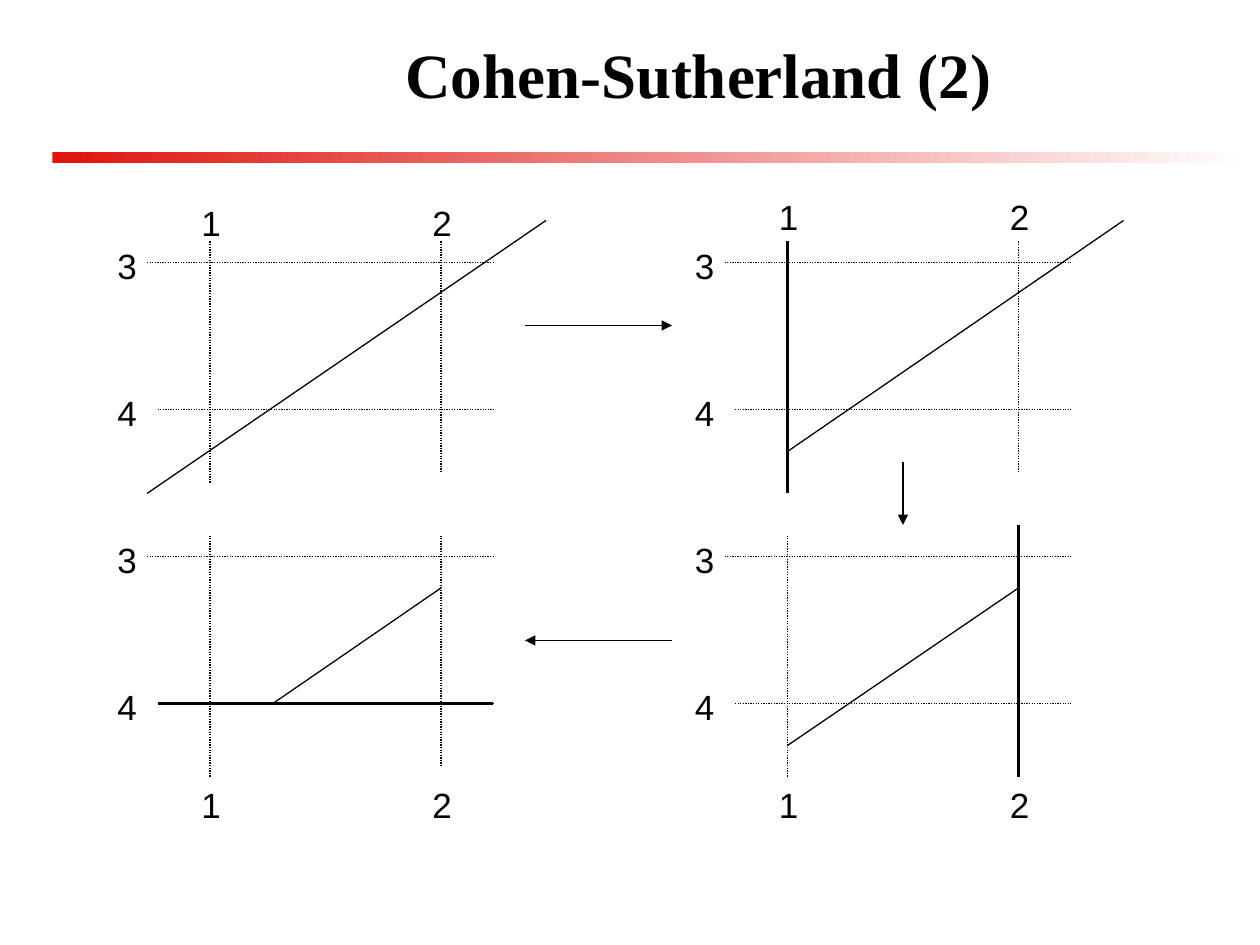
"""Build the Cohen-Sutherland clipping slide: four grids clipped in turn."""
from pptx import Presentation
from pptx import util as u
from pptx.dml.color import RGBColor
from pptx.enum import dml, shapes, text
from pptx.oxml import ns
from lxml import etree

PX = 7620
BLACK = RGBColor(0, 0, 0)
RED = RGBColor(0xDF, 0x14, 0x0F)
WHITE = RGBColor(255, 255, 255)

deck = Presentation()
deck.slide_width, deck.slide_height = 1200 * PX, 900 * PX
slide = deck.slides.add_slide(deck.slide_layouts[6])


def line(ends, width=0.75, dots=False, arrow=False):
    link = slide.shapes.add_connector(
        shapes.MSO_CONNECTOR.STRAIGHT, *(n * PX for n in ends))
    link.line.color.rgb = BLACK
    link.line.width = u.Pt(width)
    if dots:
        link.line.dash_style = dml.MSO_LINE.ROUND_DOT
    if arrow:
        tail = etree.SubElement(link.line._get_or_add_ln(), ns.qn("a:tailEnd"))
        tail.set("type", "triangle")
    etree.SubElement(link._element.spPr, ns.qn("a:effectLst"))


def label(words, box, font, size, bold=False):
    frame = slide.shapes.add_textbox(*(n * PX for n in box)).text_frame
    frame.word_wrap = bold
    para = frame.paragraphs[0]
    para.text = words
    para.font.name = font
    para.font.size = u.Pt(size)
    para.font.bold = bold
    para.font.color.rgb = BLACK
    return frame


bar = slide.shapes.add_shape(
    shapes.MSO_SHAPE.RECTANGLE, 50 * PX, 145 * PX, 1140 * PX, 10 * PX)
bar.shadow.inherit = False
bar.line.fill.background()
bar.fill.gradient()
bar.fill.gradient_angle = 0
for stop, color, place in zip(bar.fill.gradient_stops, (RED, WHITE), (0, 1)):
    stop.color.rgb = color
    stop.position = place

title = label("Cohen-Sutherland (2)", (140, 20, 1050, 100),
              "Times New Roman", 36, True)
title.vertical_anchor = text.MSO_ANCHOR.MIDDLE
title.paragraphs[0].alignment = text.PP_ALIGN.CENTER

for x, y, top in ((0, 0, 186), (550, 0, 180), (550, 280, 740), (0, 280, 740)):
    for ends in ((140, 250, 470, 250), (150, 390, 470, 390),
                 (200, 230, 200, 460), (420, 230, 420, 450)):
        x1, y1, x2, y2 = ends
        line((x + x1, y + y1, x + x2, y + y2), dots=True)
    for name, left, head in (("1", x + 180, top), ("2", x + 400, top),
                             ("3", x + 100, y + 227), ("4", x + 100, y + 367)):
        label(name, (left, head, 41, 52), "Arial", 20)

for ends in ((140, 470, 520, 210), (750, 430, 1070, 210),
             (750, 710, 970, 560), (260, 670, 420, 560)):
    line(ends)

for ends in ((750, 230, 750, 470), (970, 500, 970, 740), (470, 670, 150, 670)):
    line(ends, width=1.5)

for ends in ((500, 310, 640, 310), (860, 440, 860, 500), (640, 610, 500, 610)):
    line(ends, arrow=True)

deck.save("out.pptx")
